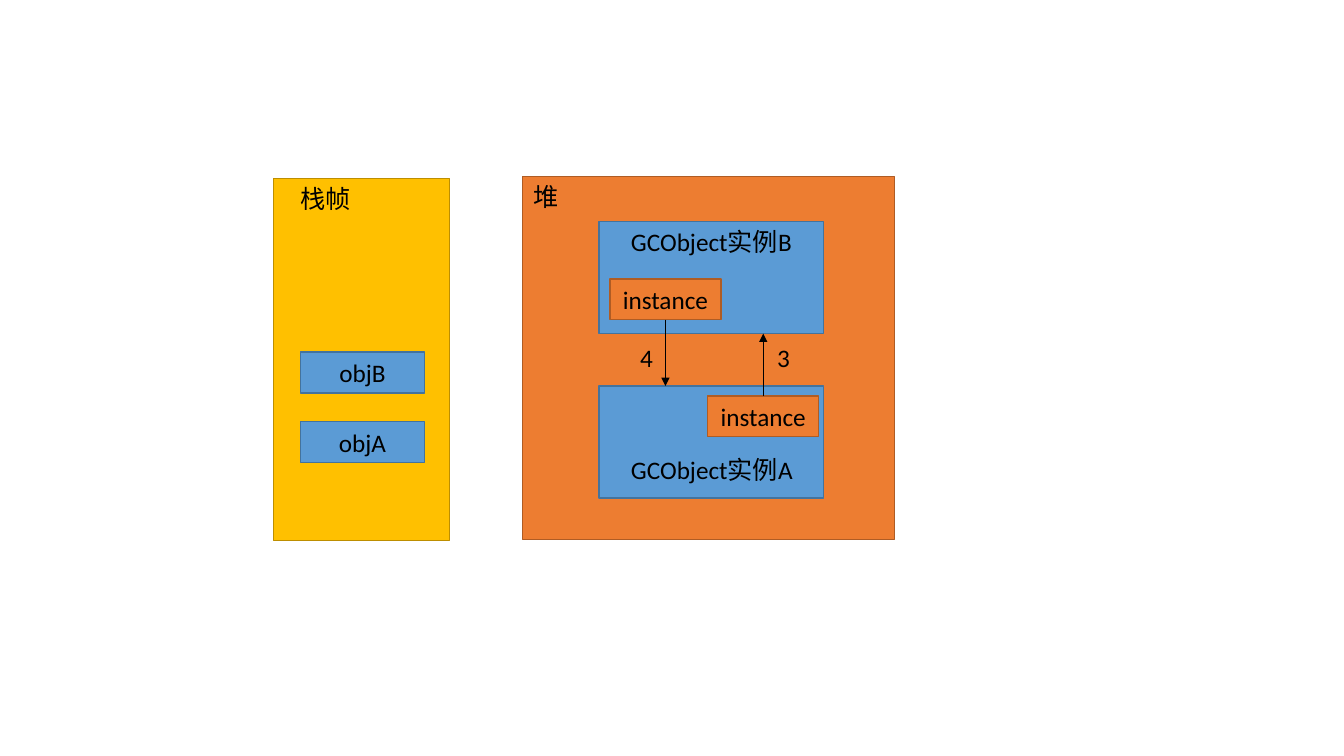
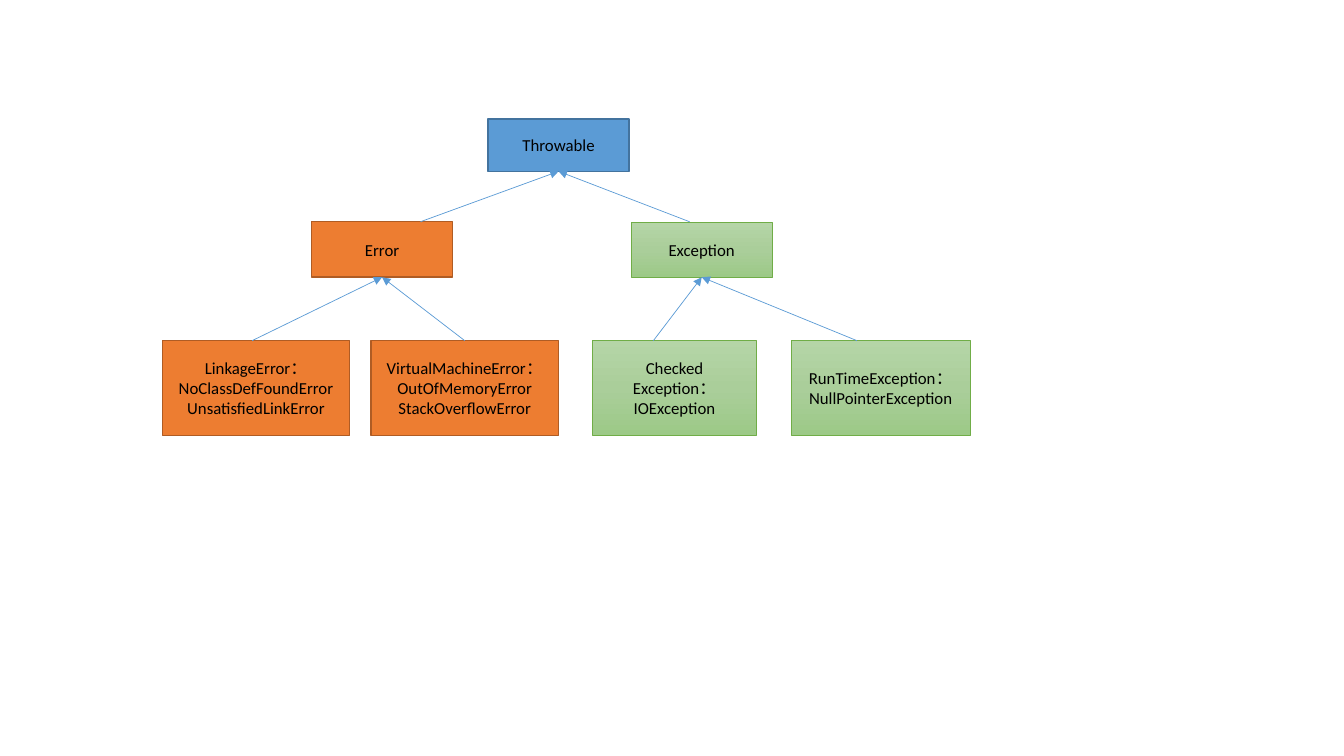
import copy

import pptx
import pptx.dml.color
import pptx.enum.shapes
import pptx.enum.text
import pptx.oxml
import pptx.oxml.ns
import pptx.util

PX = 9144  # 100 px to the inch
FONT = "Calibri"
COLORS = {
    "black": "000000",
    "blue": "5B9BD5", "blue_edge": "43739E",
    "orange": "ED7D31", "orange_edge": "AF5C24",
    "yellow": "FFC000", "yellow_edge": "BD8E00",
    "green_top": "B5D5A7", "green_mid": "AACE9A", "green_low": "9CC987",
    "green_edge": "70AD47",
}
# style: fill colours from top to bottom, line colour, line width in points
STYLES = {
    "blue": (["blue"], "blue_edge", 1),
    "orange": (["orange"], "orange_edge", 1),
    "yellow": (["yellow"], "yellow_edge", 1),
    "green": (["green_top", "green_mid", "green_low"], "green_edge", 0.5),
}
TOP, BOTTOM = 0, 2

# Boxes: name, lines of text, style, (left, top, width, height)
MEMORY_BOXES = [
    ("stack", [], "yellow", (271, 177, 175, 359)),
    ("heap", [], "orange", (518, 175, 369, 360)),
    ("objA", ["objA"], "blue", (298, 418, 123, 41)),
    ("objB", ["objB"], "blue", (298, 349, 123, 41)),
    ("object A", [], "blue", (594, 383, 223, 111)),
    ("object B", [], "blue", (594, 220, 223, 111)),
    ("field B", ["instance"], "orange", (605, 277, 110, 40)),
    ("field A", ["instance"], "orange", (702, 393, 110, 40)),
]
MEMORY_LABELS = [
    ("堆", (519, 175, 48, 40)),
    ("栈帧", (288, 177, 75, 40)),
    ("GCObject实例B", (616, 220, 202, 40)),
    ("GCObject实例A", (616, 446, 202, 40)),
    ("3", (761, 335, 48, 40)),
    ("4", (625, 335, 48, 40)),
]
# References: field, side it leaves from, end point
REFERENCES = [
    ("field B", BOTTOM, (660, 383)),
    ("field A", TOP, (757, 331)),
]

LEAF_TOP, LEAF_HEIGHT = 338, 94
CLASS_BOXES = [
    ("Throwable", ["Throwable"], "blue", (484, 118, 140, 52)),
    ("Error", ["Error"], "orange", (309, 220, 140, 55)),
    ("Exception", ["Exception"], "green", (626, 221, 140, 54)),
] + [
    (lines[0], lines, style, (left, LEAF_TOP, width, LEAF_HEIGHT))
    for lines, style, left, width in [
        (["LinkageError：", "NoClassDefFoundError", "UnsatisfiedLinkError"],
         "orange", 161, 186),
        (["VirtualMachineError：", "OutOfMemoryError", "StackOverflowError"],
         "orange", 368, 186),
        (["RunTimeException：", "NullPointerException"], "green", 785, 177),
        (["Checked Exception：", "IOException"], "green", 588, 162),
    ]
]
# Inheritance: start point on the subclass, superclass
INHERITANCE = [
    ((417, 220), "Throwable"),
    ((684, 220), "Throwable"),
    ((850, LEAF_TOP), "Exception"),
    ((648, LEAF_TOP), "Exception"),
    ((250, LEAF_TOP), "Error"),
    ((461, LEAF_TOP), "Error"),
]


def px(values):
    return [value * PX for value in values]


def rgb(name):
    return pptx.dml.color.RGBColor.from_string(COLORS[name])


def write(tf, lines, size=18, color="black", align="LEFT", anchor="TOP"):
    tf.word_wrap = True
    tf.vertical_anchor = getattr(pptx.enum.text.MSO_ANCHOR, anchor)
    for i, line in enumerate(lines):
        p = tf.paragraphs[0] if i == 0 else tf.add_paragraph()
        p.alignment = getattr(pptx.enum.text.PP_ALIGN, align)
        r = p.add_run()
        r.text = line
        r.font.name = FONT
        r.font.size = pptx.util.Pt(size)
        r.font.color.rgb = rgb(color)


def paint(sp, names):
    """Fill with one colour, or with an even gradient running downwards."""
    if len(names) == 1:
        sp.fill.solid()
        sp.fill.fore_color.rgb = rgb(names[0])
        return
    sp.fill.gradient()
    sp.fill.gradient_angle = 270
    stop_list = sp._element.spPr.find(".//" + pptx.oxml.ns.qn("a:gsLst"))
    while len(stop_list) < len(names):
        stop_list.append(copy.deepcopy(stop_list[0]))
    for i, (stop, name) in enumerate(zip(sp.fill.gradient_stops, names)):
        stop.position = i / (len(names) - 1)
        stop.color.rgb = rgb(name)


def add_boxes(s, boxes, size):
    """Draw the boxes and return them by name."""
    shapes = {}
    for name, lines, style, place in boxes:
        fills, edge, width = STYLES[style]
        sp = s.shapes.add_shape(pptx.enum.shapes.MSO_SHAPE.RECTANGLE, *px(place))
        sp.shadow.inherit = False
        paint(sp, fills)
        sp.line.color.rgb = rgb(edge)
        sp.line.width = pptx.util.Pt(width)
        write(sp.text_frame, lines, size=size, align="CENTER", anchor="MIDDLE")
        shapes[name] = sp
    return shapes


def add_arrow(s, start, end, color, width):
    line = s.shapes.add_connector(
        pptx.enum.shapes.MSO_CONNECTOR.STRAIGHT, *px(start + end))
    line.line.color.rgb = rgb(color)
    line.line.width = pptx.util.Pt(width)
    pptx.oxml.ns.qn("a:ln")
    tail = line.line._get_or_add_ln().makeelement(
        pptx.oxml.ns.qn("a:tailEnd"), {"type": "triangle"})
    line.line._get_or_add_ln().append(tail)
    spPr = line._element.spPr
    spPr.append(spPr.makeelement(pptx.oxml.ns.qn("a:effectLst"), {}))
    return line


def build_memory(s):
    boxes = add_boxes(s, MEMORY_BOXES, size=18)
    for text, place in MEMORY_LABELS:
        tf = s.shapes.add_textbox(*px(place)).text_frame
        write(tf, [text])
        tf.auto_size = pptx.enum.text.MSO_AUTO_SIZE.SHAPE_TO_FIT_TEXT
    for field, side, end in REFERENCES:
        add_arrow(s, end, end, "black", 1).begin_connect(boxes[field], side)


def build_classes(s):
    boxes = add_boxes(s, CLASS_BOXES, size=12)
    for start, parent in INHERITANCE:
        add_arrow(s, start, start, "blue", 0.5).end_connect(boxes[parent], BOTTOM)


def main():
    prs = pptx.Presentation()
    prs.slide_width, prs.slide_height = px((1333, 750))
    for build in (build_memory, build_classes):
        build(prs.slides.add_slide(prs.slide_layouts[6]))
    prs.save("out.pptx")


if __name__ == "__main__":
    main()
